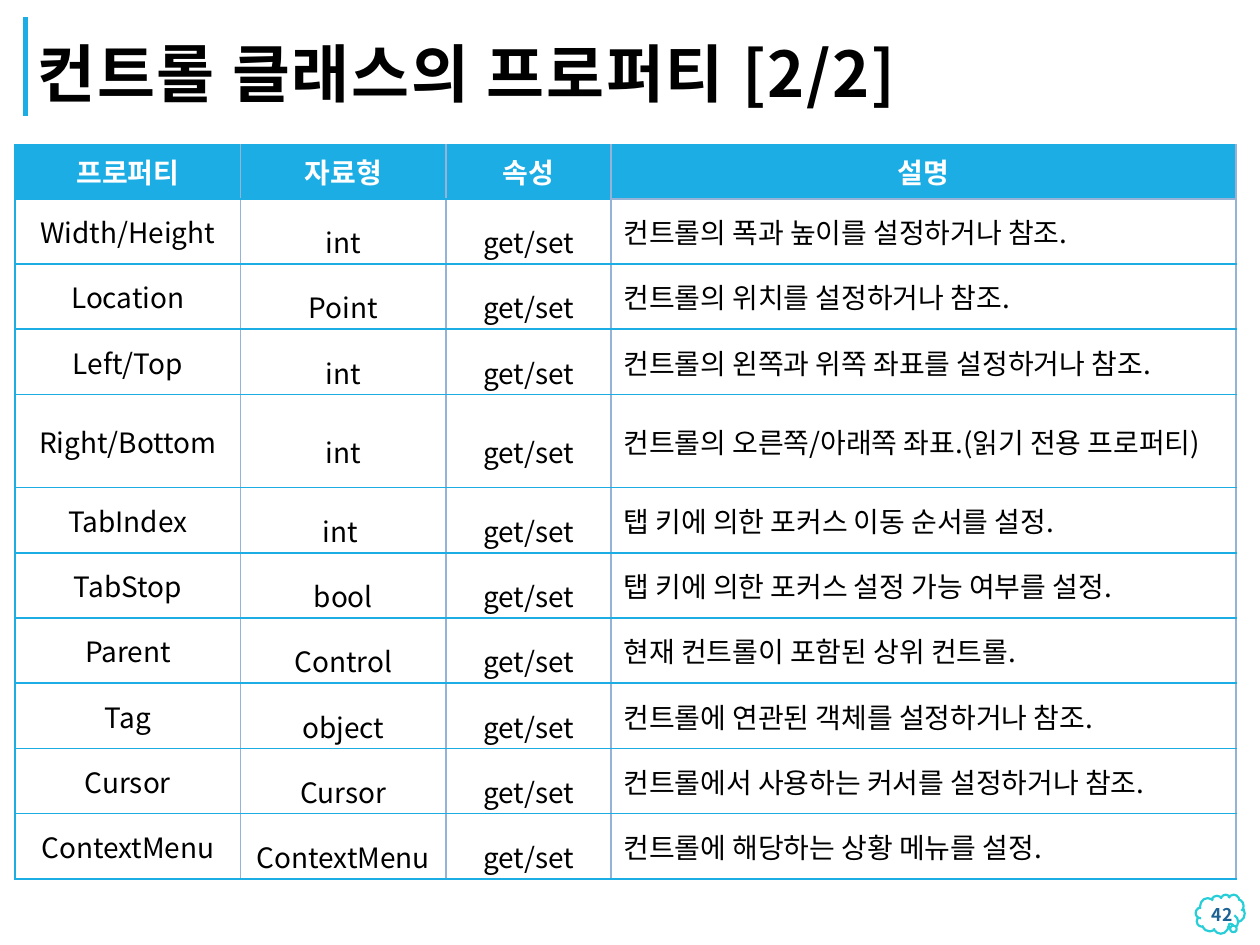
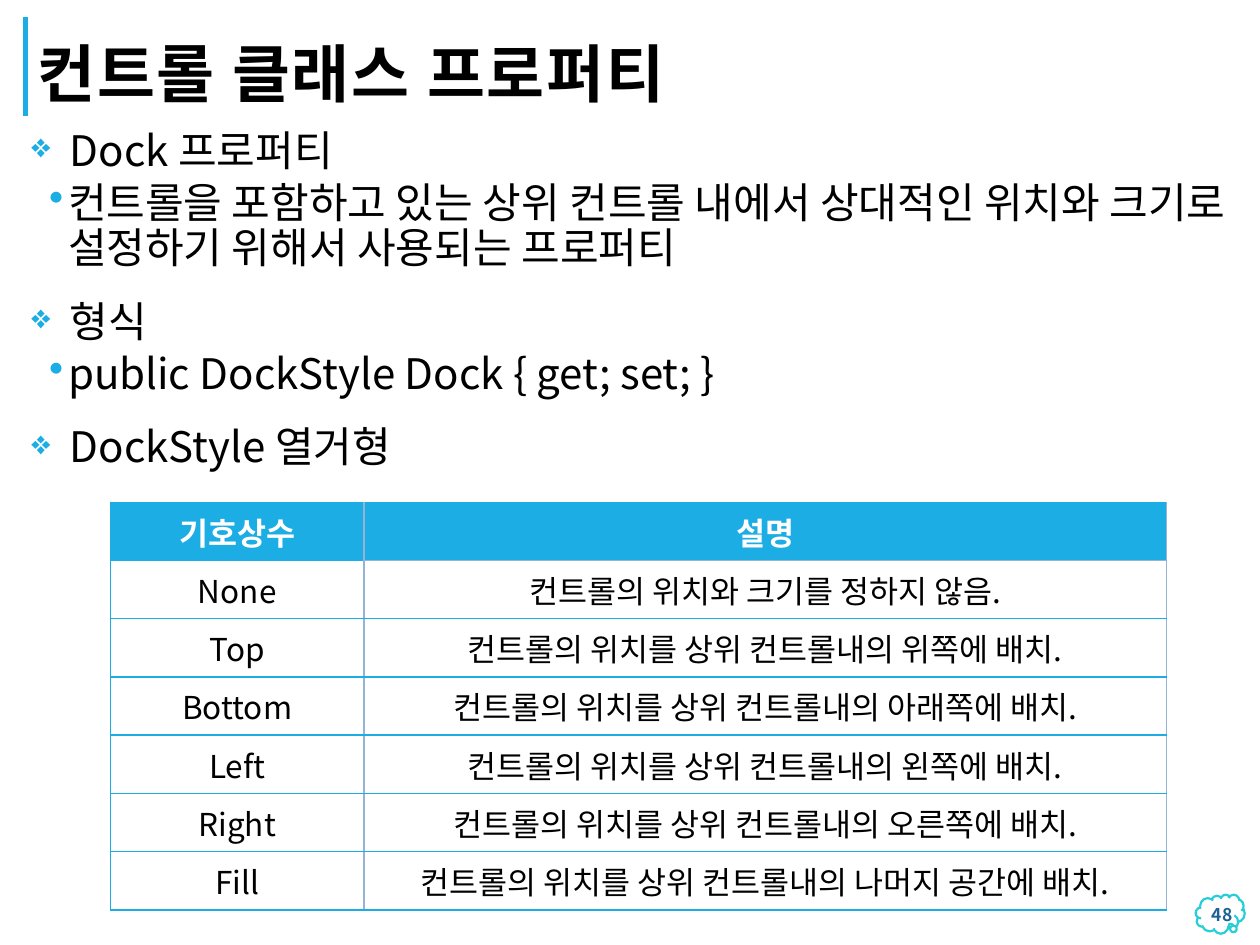
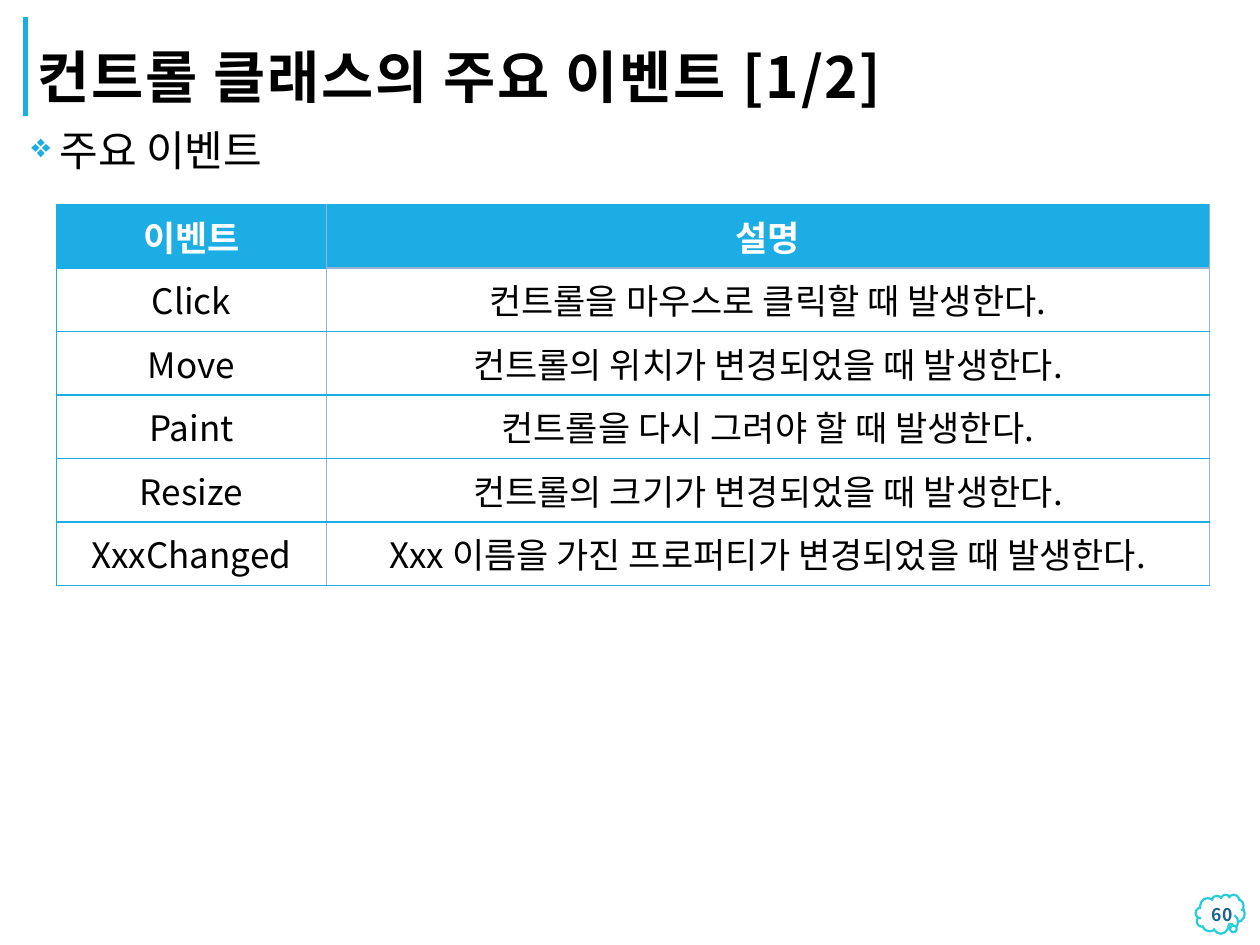
import pptx
import pptx.util
import pptx.dml.color
import pptx.enum.shapes
import pptx.enum.text
import pptx.oxml
import pptx.oxml.ns

Pt = pptx.util.Pt
ALIGN = pptx.enum.text.PP_ALIGN
ANCHOR = pptx.enum.text.MSO_ANCHOR
FONT = "Noto Sans CJK KR"
COLORS = {
    "accent": "1CADE4",
    "grid": "95B3D7",
    "cloud": "27CED7",
    "number": "1D6294",
    "text": "000000",
    "white": "FFFFFF",
}


def rgb(name):
    return pptx.dml.color.RGBColor.from_string(COLORS[name])


def add_xml(parent, xml):
    """Append a DrawingML fragment to parent."""
    ns = pptx.oxml.ns.nsdecls("a")
    parent.append(pptx.oxml.parse_xml(xml.replace(" ", f" {ns} ", 1)))


class Deck:
    def __init__(self):
        self.prs = pptx.Presentation()
        self.prs.slide_width, self.prs.slide_height = Pt(720), Pt(540)
        self.s = None

    def slide(self, title, number, title_size=36):
        """Start a slide with its title bar, title and page number."""
        self.s = self.prs.slides.add_slide(self.prs.slide_layouts[6])
        self.title_bar()
        self.cloud()
        p = self.text_box(14.4, 10, 573.8, 56.2, ANCHOR.BOTTOM).paragraphs[0]
        self.set_text(p, title, title_size, bold=True, spacing=0.8)
        p._p.pPr.find(pptx.oxml.ns.qn("a:defRPr")).set("spc", "100")
        p = self.text_box(666, 510.5, 45.4, 24.5, ANCHOR.MIDDLE).paragraphs[0]
        self.set_text(p, number, 10, "number", True, ALIGN.RIGHT)

    def title_bar(self):
        line = self.s.shapes.add_connector(
            pptx.enum.shapes.MSO_CONNECTOR.STRAIGHT,
            Pt(14.4), Pt(66.2), Pt(14.4), Pt(10))
        line.line.color.rgb = rgb("accent")
        line.line.width = Pt(3)
        add_xml(line._element.spPr, "<a:effectLst />")

    def cloud(self):
        sp = self.s.shapes.add_shape(
            pptx.enum.shapes.MSO_SHAPE.CLOUD_CALLOUT,
            Pt(683.3), Pt(511.2), Pt(28), Pt(22.3))
        sp.adjustments[0], sp.adjustments[1] = 0.2, 0.28
        sp.shadow.inherit = False
        sp.fill.solid()
        sp.fill.fore_color.rgb = rgb("white")
        sp.line.color.rgb = rgb("cloud")
        sp.line.width = Pt(1.25)

    def text_box(self, x, y, w, h, anchor=ANCHOR.TOP):
        tf = self.s.shapes.add_textbox(Pt(x), Pt(y), Pt(w), Pt(h)).text_frame
        tf.word_wrap = True
        tf.vertical_anchor = anchor
        return tf

    def set_text(self, p, text, size, color="text", bold=False,
                 align=ALIGN.LEFT, spacing=None):
        p.text = text
        p.alignment = align
        p.line_spacing = spacing
        p.font.size = Pt(size)
        p.font.bold = bold
        p.font.color.rgb = rgb(color)
        p.font.name = FONT
        add_xml(p._p.pPr.find(pptx.oxml.ns.qn("a:defRPr")),
                f'<a:ea typeface="{FONT}"/>')

    def bullets(self, items, hang):
        """Add (level, text) items; hang is the indent of level 0."""
        tf = self.text_box(14.4, 70.6, 692, 442)
        tf.margin_left = tf.margin_right = Pt(3.6)
        tf.margin_top = tf.margin_bottom = Pt(3.6)
        for i, (level, text) in enumerate(items):
            p = tf.add_paragraph() if i else tf.paragraphs[0]
            left, indent, mark, percent, before, after = (
                (20.9, 10.8, "•", 100, 2, 4) if level
                else (hang, hang, "❖", 80, 12, 2))
            p.level = level
            pPr = p._p.get_or_add_pPr()
            pPr.set("marL", str(Pt(left)))
            pPr.set("indent", str(-Pt(indent)))
            add_xml(pPr, f'<a:buClr ><a:srgbClr val="{COLORS["accent"]}"/></a:buClr>')
            add_xml(pPr, f'<a:buSzPct val="{percent * 1000}"/>')
            add_xml(pPr, f'<a:buChar char="{mark}"/>')
            self.set_text(p, text, 24, spacing=0.9)
            p.space_before = Pt(before if i else 0)
            p.space_after = Pt(after)

    def borders(self, cell, **sides):
        for side, color in sides.items():
            add_xml(cell._tc.get_or_add_tcPr(),
                    f'<a:ln{side} w="{Pt(1)}"><a:solidFill><a:srgbClr '
                    f'val="{COLORS[color]}"/></a:solidFill></a:ln{side}>')

    def table(self, x, y, widths, heights, rows, size,
              loose=(), justified=()):
        """Draw a table; loose and justified are body column numbers."""
        t = self.s.shapes.add_table(
            len(rows), len(widths), Pt(x), Pt(y),
            Pt(sum(widths)), Pt(sum(heights))).table
        t.horz_banding = False
        for column, w in zip(t.columns, widths):
            column.width = Pt(w)
        last = len(widths) - 1
        for r, row in enumerate(rows):
            t.rows[r].height = Pt(heights[r])
            for c, text in enumerate(row):
                cell = t.cell(r, c)
                head = r == 0
                self.borders(
                    cell, L="grid" if c else "accent", R="grid",
                    T="grid" if r == 1 and c == last else "accent",
                    B="grid" if head and c == last else "accent")
                if head:
                    cell.fill.solid()
                    cell.fill.fore_color.rgb = rgb("accent")
                else:
                    cell.fill.background()
                cell.vertical_anchor = ANCHOR.MIDDLE
                is_loose = not head and c in loose
                if is_loose:
                    cell.margin_left = cell.margin_right = Pt(1.4)
                    cell.margin_top = cell.margin_bottom = Pt(1.4)
                self.set_text(
                    cell.text_frame.paragraphs[0], text, size,
                    "white" if head else "text", head,
                    ALIGN.JUSTIFY if not head and c in justified else ALIGN.CENTER,
                    1.5 if is_loose else None)


def main():
    deck = Deck()

    # Control properties
    deck.slide("컨트롤 클래스의 프로퍼티 [2/2]", "42")
    properties = [
        ("Width/Height", "int", "컨트롤의 폭과 높이를 설정하거나 참조."),
        ("Location", "Point", "컨트롤의 위치를 설정하거나 참조."),
        ("Left/Top", "int", "컨트롤의 왼쪽과 위쪽 좌표를 설정하거나 참조."),
        ("Right/Bottom", "int", "컨트롤의 오른쪽/아래쪽 좌표.(읽기 전용 프로퍼티)"),
        ("TabIndex", "int ", "탭 키에 의한 포커스 이동 순서를 설정."),
        ("TabStop", "bool", "탭 키에 의한 포커스 설정 가능 여부를 설정."),
        ("Parent", "Control", "현재 컨트롤이 포함된 상위 컨트롤."),
        ("Tag", "object", "컨트롤에 연관된 객체를 설정하거나 참조."),
        ("Cursor", "Cursor", "컨트롤에서 사용하는 커서를 설정하거나 참조."),
        ("ContextMenu", "ContextMenu", "컨트롤에 해당하는 상황 메뉴를 설정."),
    ]
    rows = [("프로퍼티", "자료형", "속성", "설명")]
    rows += [(name, kind, "get/set", note) for name, kind, note in properties]
    heights = [31] + [37.3] * 3 + [53.2] + [37.3] * 6
    deck.table(8.6, 82.6, [128.9, 117.4, 94.3, 357.1], heights, rows, 16,
               loose=(1, 2), justified=(3,))

    # Dock property
    deck.slide("컨트롤 클래스 프로퍼티", "48")
    deck.bullets([
        (0, "Dock 프로퍼티"),
        (1, "컨트롤을 포함하고 있는 상위 컨트롤 내에서 상대적인 위치와 "
            "크기로 설정하기 위해서 사용되는 프로퍼티"),
        (0, "형식"),
        (1, "public DockStyle Dock { get; set; }"),
        (0, "DockStyle 열거형"),
    ], hang=22)
    sides = [("Top", "위쪽"), ("Bottom", "아래쪽"), ("Left", "왼쪽"),
             ("Right", "오른쪽"), ("Fill", "나머지 공간")]
    rows = [("기호상수", "설명"), ("None", "컨트롤의 위치와 크기를 정하지 않음.")]
    rows += [(name, f"컨트롤의 위치를 상위 컨트롤내의 {place}에 배치.")
             for name, place in sides]
    deck.table(63.2, 287, [144.7, 458.6], [33.3] * len(rows), rows, 18)

    # Main events
    deck.slide("컨트롤 클래스의 주요 이벤트 [1/2]", "60", 32.4)
    deck.bullets([(0, "주요 이벤트")], hang=16)
    events = [
        ("Click", "컨트롤을 마우스로 클릭할"),
        ("Move", "컨트롤의 위치가 변경되었을"),
        ("Paint", "컨트롤을 다시 그려야 할"),
        ("Resize", "컨트롤의 크기가 변경되었을"),
        ("XxxChanged", "Xxx 이름을 가진 프로퍼티가 변경되었을"),
    ]
    rows = [("이벤트", "설명")]
    rows += [(name, f"{cause} 때 발생한다.") for name, cause in events]
    deck.table(32.4, 116.8, [154.1, 504.7], [36.3] * len(rows), rows, 20)

    deck.prs.save("out.pptx")


if __name__ == "__main__":
    main()
